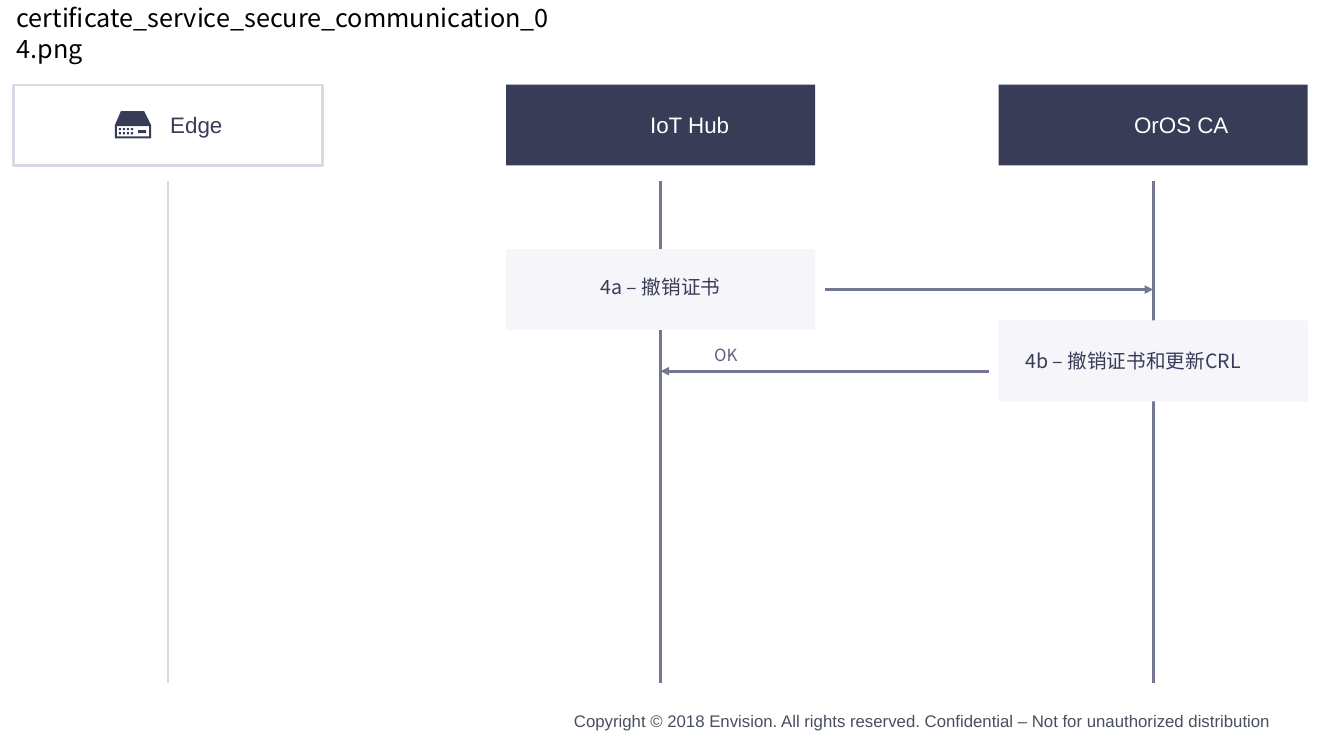
import pptx
import pptx.dml.color
import pptx.enum.shapes
import pptx.enum.text
import pptx.oxml.ns
import pptx.util
from lxml import etree

SANS = "Arial"
CJK = "Noto Sans CJK SC"
NAVY, WHITE, PALE = "383C57", "FFFFFF", "F5F5FA"
LILAC, SLATE = "D8D9E6", "737794"
ALIGN = pptx.enum.text.PP_ALIGN

# Grid of 100 columns by 100 rows; lanes repeat at an equal pitch
LANE_LEFT, LANE_PITCH, LANE_WIDTH = 1, 36.65, 23
HEADER_TOP, BOX_HEIGHT = 11.2, 10.7
LIFE_TOP, LIFE_BOTTOM = 24, 90.4
ARROW_GAP = 0.7


def color(hex_string):
    return pptx.dml.color.RGBColor.from_string(hex_string)


def lane_left(lane):
    return LANE_LEFT + lane * LANE_PITCH


def lane_center(lane):
    return lane_left(lane) + LANE_WIDTH / 2


def rectangle_points(left, top, right, bottom):
    return [(left, top), (right, top), (right, bottom), (left, bottom)]


class SequenceSlide:
    def __init__(self, presentation):
        self.slide = presentation.slides.add_slide(presentation.slide_layouts[6])
        self.column = presentation.slide_width / 100
        self.row = presentation.slide_height / 100

    def x(self, columns):
        return round(columns * self.column)

    def y(self, rows):
        return round(rows * self.row)

    def box(self, lane, top, fill=None, line=None):
        shape = self.slide.shapes.add_shape(
            pptx.enum.shapes.MSO_SHAPE.RECTANGLE, self.x(lane_left(lane)),
            self.y(top), self.x(LANE_WIDTH), self.y(BOX_HEIGHT))
        shape.shadow.inherit = False
        if fill:
            shape.fill.solid()
            shape.fill.fore_color.rgb = color(fill)
        else:
            shape.fill.background()
        if line:
            shape.line.color.rgb = color(line)
            shape.line.width = pptx.util.Pt(1.5)
        else:
            shape.line.fill.background()

    def text(self, words, left, top, width, height, size, ink, font=CJK,
             align=ALIGN.LEFT):
        shape = self.slide.shapes.add_textbox(
            self.x(left), self.y(top), self.x(width), self.y(height))
        shape.text_frame.word_wrap = True
        shape.text_frame.text = words
        paragraph = shape.text_frame.paragraphs[0]
        paragraph.alignment = align
        for run in paragraph.runs:
            run.font.size = pptx.util.Pt(size)
            run.font.name = font
            run.font.color.rgb = color(ink)
            east_asian = etree.SubElement(
                run.font._element, pptx.oxml.ns.qn("a:ea"))
            east_asian.set("typeface", font)

    def line(self, start, end, ink=SLATE, arrow=False):
        connector = self.slide.shapes.add_connector(
            pptx.enum.shapes.MSO_CONNECTOR.STRAIGHT,
            self.x(start[0]), self.y(start[1]), self.x(end[0]), self.y(end[1]))
        connector.line.color.rgb = color(ink)
        connector.line.width = pptx.util.Pt(2)
        if arrow:
            tail = etree.SubElement(
                connector.line._get_or_add_ln(), pptx.oxml.ns.qn("a:tailEnd"))
            tail.set("type", "triangle")
        etree.SubElement(
            connector._element.spPr, pptx.oxml.ns.qn("a:effectLst"))

    def icon(self, contours, left, top, ink):
        first, *others = contours
        builder = self.slide.shapes.build_freeform(
            *first[0], scale=pptx.util.Inches(0.01))
        builder.add_line_segments(first[1:], close=True)
        for contour in others:
            builder.move_to(*contour[0])
            builder.add_line_segments(contour[1:], close=True)
        shape = builder.convert_to_shape(self.x(left), self.y(top))
        shape.shadow.inherit = False
        shape.fill.solid()
        shape.fill.fore_color.rgb = color(ink)
        shape.line.fill.background()


def main():
    presentation = pptx.Presentation()
    presentation.slide_width = pptx.util.Inches(13.33)
    presentation.slide_height = pptx.util.Inches(7.5)
    board = SequenceSlide(presentation)

    # Footer and file title
    board.text(
        "Copyright © 2018 Envision. All rights reserved. Confidential – Not for unauthorized distribution",
        36.5, 93.3, 58.8, 4, 12, "484F5E", SANS, ALIGN.RIGHT)
    board.text("certificate_service_secure_communication_04.png",
               0.5, -0.3, 41.6, 5.3, 18, "000000")

    # Lanes: header, label and lifeline
    lanes = [
        ("Edge", 11.93, 5.93, None, LILAC, NAVY, LILAC),
        ("IoT Hub", 47.63, 7.9, NAVY, None, WHITE, SLATE),
        ("OrOS CA", 83.65, 8.85, NAVY, None, WHITE, SLATE),
    ]
    for lane, (name, left, width, fill, border, ink, life) in enumerate(lanes):
        board.box(lane, HEADER_TOP, fill, border)
        board.text(name, left, 14, width, 4.9, 16, ink, SANS)
        center = lane_center(lane)
        board.line((center, LIFE_TOP), (center, LIFE_BOTTOM), life)

    # Edge device icon: body, window, status lamp and two rows of slots
    slots = [rectangle_points(x, y, x + 2, y + 2)
             for y in (17, 21) for x in range(4, 20, 4)]
    body = [(0, 14), (6, 0), (29, 0), (36, 14), (36, 27), (0, 27)]
    board.icon([body, rectangle_points(2, 15, 34, 25),
                rectangle_points(23, 19, 31, 22), *slots], 8.55, 14.7, NAVY)

    # Steps
    steps = [
        ("4a – 撤销证书", 1, 32.95, 35.7, ALIGN.CENTER),
        ("4b – 撤销证书和更新CRL", 2, 42.4, 45.5, ALIGN.LEFT),
    ]
    for words, lane, top, text_top, align in steps:
        board.box(lane, top, PALE)
        board.text(words, lane_left(lane) + 1.25, text_top, 20.5, 4.5, 14,
                   NAVY, align=align)

    # Messages
    board.line((lane_left(1) + LANE_WIDTH + ARROW_GAP, 38.3),
               (lane_center(2), 38.3), arrow=True)
    board.line((lane_left(2) - ARROW_GAP, 49.1), (lane_center(1), 49.1),
               arrow=True)
    board.text("OK", 52.4, 44.9, 5.6, 4.1, 12, "5E6280")

    presentation.save("out.pptx")


if __name__ == "__main__":
    main()
